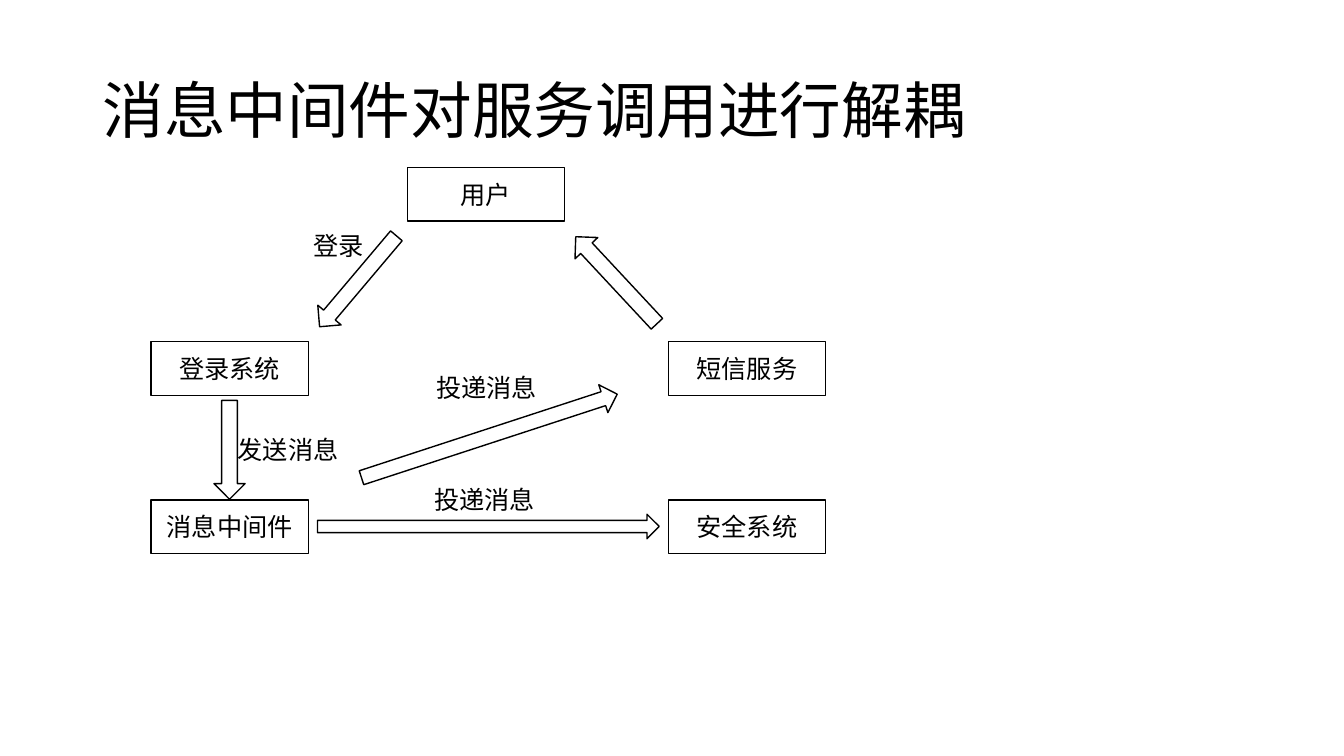
import pptx
import pptx.util
import pptx.dml.color
import pptx.enum.shapes
import pptx.enum.text

Pt = pptx.util.Pt
SHAPE = pptx.enum.shapes.MSO_SHAPE
ALIGN = pptx.enum.text.PP_ALIGN
ANCHOR = pptx.enum.text.MSO_ANCHOR

TITLE = "消息中间件对服务调用进行解耦"
LEFT, MIDDLE, RIGHT = 108, 290.9, 477.4
USER_ROW, LOGIN_ROW, QUEUE_ROW = 119.5, 244.1, 357.1
BOX_W, BOX_H = 112.3, 38.4
LABEL_W, LABEL_H = 88, 29

BOXES = [
    ("用户", MIDDLE, USER_ROW),
    ("登录系统", LEFT, LOGIN_ROW),
    ("短信服务", RIGHT, LOGIN_ROW),
    ("消息中间件", LEFT, QUEUE_ROW),
    ("安全系统", RIGHT, QUEUE_ROW),
]
ARROWS = [
    (SHAPE.DOWN_ARROW, (244.8, 158.4, 21.8, 85), 40.2),
    (SHAPE.DOWN_ARROW, (429.1, 157.7, 22.3, 85), 137),
    (SHAPE.DOWN_ARROW, (152.8, 286, 22.3, 70.6), 0),
    (SHAPE.RIGHT_ARROW, (226.8, 367.3, 244.1, 17.5), 0),
    (SHAPE.UP_ARROW, (339.1, 215.3, 20.9, 192.2), 71.9),
]
LABELS = [
    ("登录", 216.7, 161.3),
    ("发送消息", 162.7, 306.7),
    ("投递消息", 303.1, 342.7),
    ("投递消息", 304.6, 262.1),
]


def color(value):
    return pptx.dml.color.RGBColor.from_string(value)


def write(sp, text, size, align, **frame_format):
    tf = sp.text_frame
    for name, value in dict(word_wrap=True, **frame_format).items():
        setattr(tf, name, value)
    p = tf.paragraphs[0]
    p.alignment = align
    r = p.add_run()
    r.text = text
    for name, value in {"name": "Calibri", "size": Pt(size)}.items():
        setattr(r.font, name, value)
    r.font.color.rgb = color("000000")
    return p


def add_outlined(kind, bounds, rotation=0):
    sp = s.shapes.add_shape(kind, *map(Pt, bounds))
    sp.rotation = rotation
    sp.shadow.inherit = False
    sp.fill.solid()
    sp.fill.fore_color.rgb = color("FFFFFF")
    sp.line.color.rgb = color("000000")
    sp.line.width = Pt(1)
    return sp


prs = pptx.Presentation()
prs.slide_width, prs.slide_height = Pt(960), Pt(540)
s = prs.slides.add_slide(prs.slide_layouts[5])

title = s.shapes.title
bounds = {"left": 66, "top": 28.8, "width": 828, "height": 104.4}
for name, value in bounds.items():
    setattr(title, name, Pt(value))
p = write(title, TITLE, 44, ALIGN.LEFT, vertical_anchor=ANCHOR.MIDDLE)
p.line_spacing = 0.9

for text, left, top in BOXES:
    box = add_outlined(SHAPE.RECTANGLE, (left, top, BOX_W, BOX_H))
    write(box, text, 18, ALIGN.CENTER, vertical_anchor=ANCHOR.MIDDLE)

for kind, bounds, rotation in ARROWS:
    add_outlined(kind, bounds, rotation)

for text, left, top in LABELS:
    label = s.shapes.add_textbox(*map(Pt, (left, top, LABEL_W, LABEL_H)))
    write(label, text, 18, ALIGN.LEFT,
          auto_size=pptx.enum.text.MSO_AUTO_SIZE.SHAPE_TO_FIT_TEXT)

prs.save("out.pptx")
